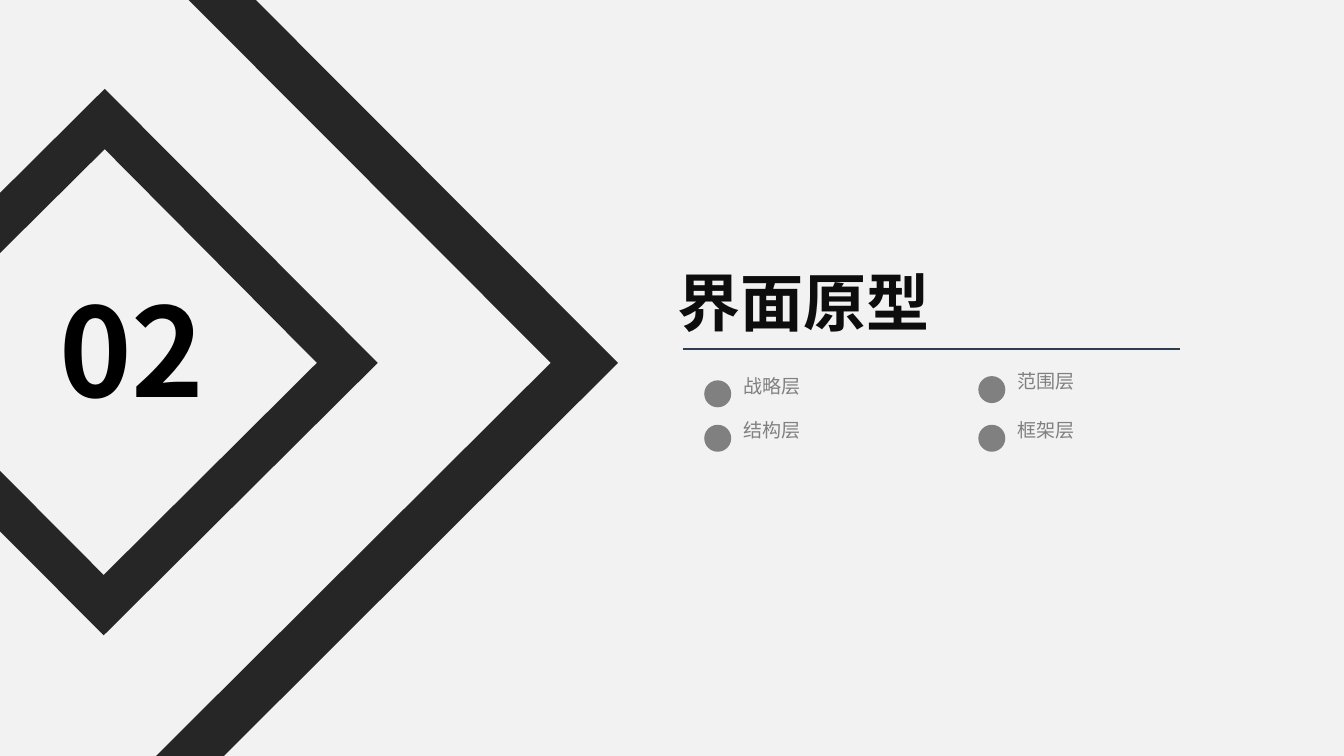
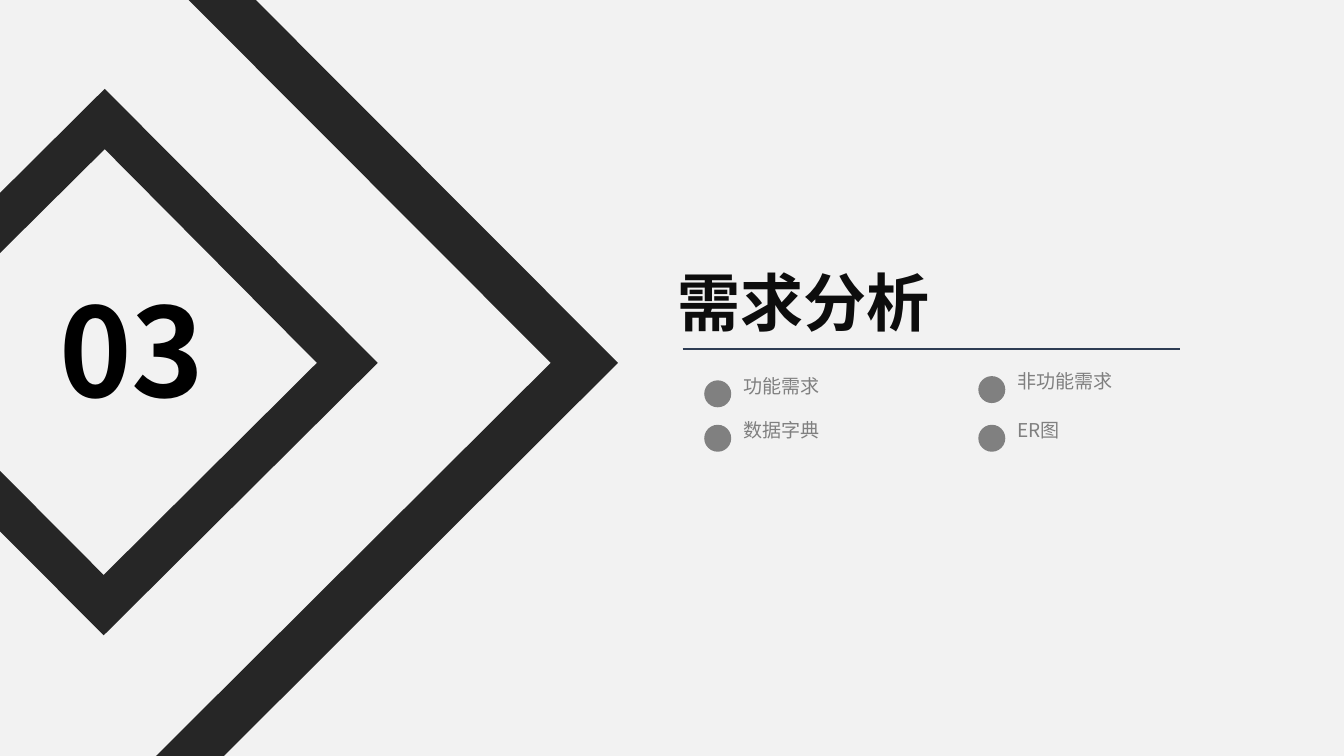
from dataclasses import dataclass

from lxml import etree
from pptx import Presentation
from pptx import util as u
from pptx.dml.color import RGBColor
from pptx.enum import shapes, text
from pptx.oxml.ns import qn


@dataclass(frozen=True)
class Theme:
    font: str = "Noto Sans CJK SC"
    paper: str = "F2F2F2"
    band: str = "262626"
    title: str = "0D0D0D"
    number: str = "000000"
    rule: str = "2E3D54"
    grey: str = "808080"
    title_size: float = 33.8
    item_size: float = 10.2
    number_size: float = 66


T = Theme()


def add_text(parent, words, *, at, size, color, bold=False, wrap=True):
    tb = parent.add_textbox(*map(u.Cm, at))
    tf = tb.text_frame
    tf.word_wrap = wrap
    tf.auto_size = text.MSO_AUTO_SIZE.SHAPE_TO_FIT_TEXT
    tf.margin_left = tf.margin_right = u.Cm(0.23)
    tf.margin_top = tf.margin_bottom = u.Cm(0.1)
    p = tf.paragraphs[0]
    p.line_spacing = 0.9
    r = p.add_run()
    r.text = words
    r.font.name = T.font
    r.font.size = u.Pt(size)
    r.font.bold = bold
    r.font.color.rgb = RGBColor.from_string(color)
    etree.SubElement(r.font._element, qn("a:ea"), typeface=T.font)


def paint(sp, color):
    sp.shadow.inherit = False
    sp.fill.solid()
    sp.fill.fore_color.rgb = RGBColor.from_string(color)
    sp.line.fill.background()


# Section content: number, title, items down the left column, then the right
sections = [
    ("02", "界面原型", ["战略层", "结构层", "范围层", "框架层"]),
    ("03", "需求分析", ["功能需求", "数据字典", "非功能需求", "ER图"]),
]

# Dot left, dot top and label width of each item, in cm
item_slots = [(13.31, 7.19, 4.29), (13.31, 8.03, 5.18),
              (18.49, 7.11, 4.65), (18.49, 8.03, 5.11)]
dot = 0.51

# Outlines in cm; the second contour of the diamond is its hole
chevron = [[(-1.6, -6.45), (11.68, 6.86), (-1.63, 20.14),
            (-2.26, 19.48), (10.41, 6.86), (-2.24, -5.82)]]
diamond = [[(1.98, 1.68), (7.14, 6.86), (1.96, 12.01), (-3.2, 6.83)],
           [(1.98, 2.82), (-2.06, 6.83), (1.96, 10.87), (5.99, 6.86)]]

prs = Presentation()
prs.slide_width, prs.slide_height = u.Cm(25.4), u.Cm(14.29)

# Shared background
bg = prs.slide_master.background.fill
bg.solid()
bg.fore_color.rgb = RGBColor.from_string(T.paper)

for number, title, items in sections:
    s = prs.slides.add_slide(prs.slide_layouts[6])

    # Title and rule
    add_text(s.shapes, title, at=(12.57, 5.05, 11.38, 1.7),
             size=T.title_size, color=T.title, bold=True)
    rule = s.shapes.add_connector(shapes.MSO_CONNECTOR.STRAIGHT,
                                  u.Cm(12.9), u.Cm(6.6), u.Cm(22.3), u.Cm(6.6))
    rule.line.color.rgb = RGBColor.from_string(T.rule)
    rule.line.width = u.Pt(0.75)
    etree.SubElement(rule._element.spPr, qn("a:effectLst"))

    # Items: a dot and its label in one group
    for item, (x, y, width) in zip(items, item_slots):
        grp = s.shapes.add_group_shape().shapes
        sp = grp.add_shape(shapes.MSO_SHAPE.OVAL,
                           u.Cm(x), u.Cm(y), u.Cm(dot), u.Cm(dot))
        paint(sp, T.grey)
        add_text(grp, item, at=(x + dot, y - 0.17, width, 0.69),
                 size=T.item_size, color=T.grey)

    # Section number
    add_text(s.shapes, number, at=(0.89, 5.41, 3.38, 3.07),
             size=T.number_size, color=T.number, bold=True, wrap=False)

    # Bands around the number
    for contours in (chevron, diamond):
        first, *holes = [[(u.Cm(x), u.Cm(y)) for x, y in c] for c in contours]
        fb = s.shapes.build_freeform(*first[0])
        fb.add_line_segments(first[1:], close=True)
        for hole in holes:
            fb.move_to(*hole[0])
            fb.add_line_segments(hole[1:], close=True)
        paint(fb.convert_to_shape(), T.band)

prs.save("out.pptx")
